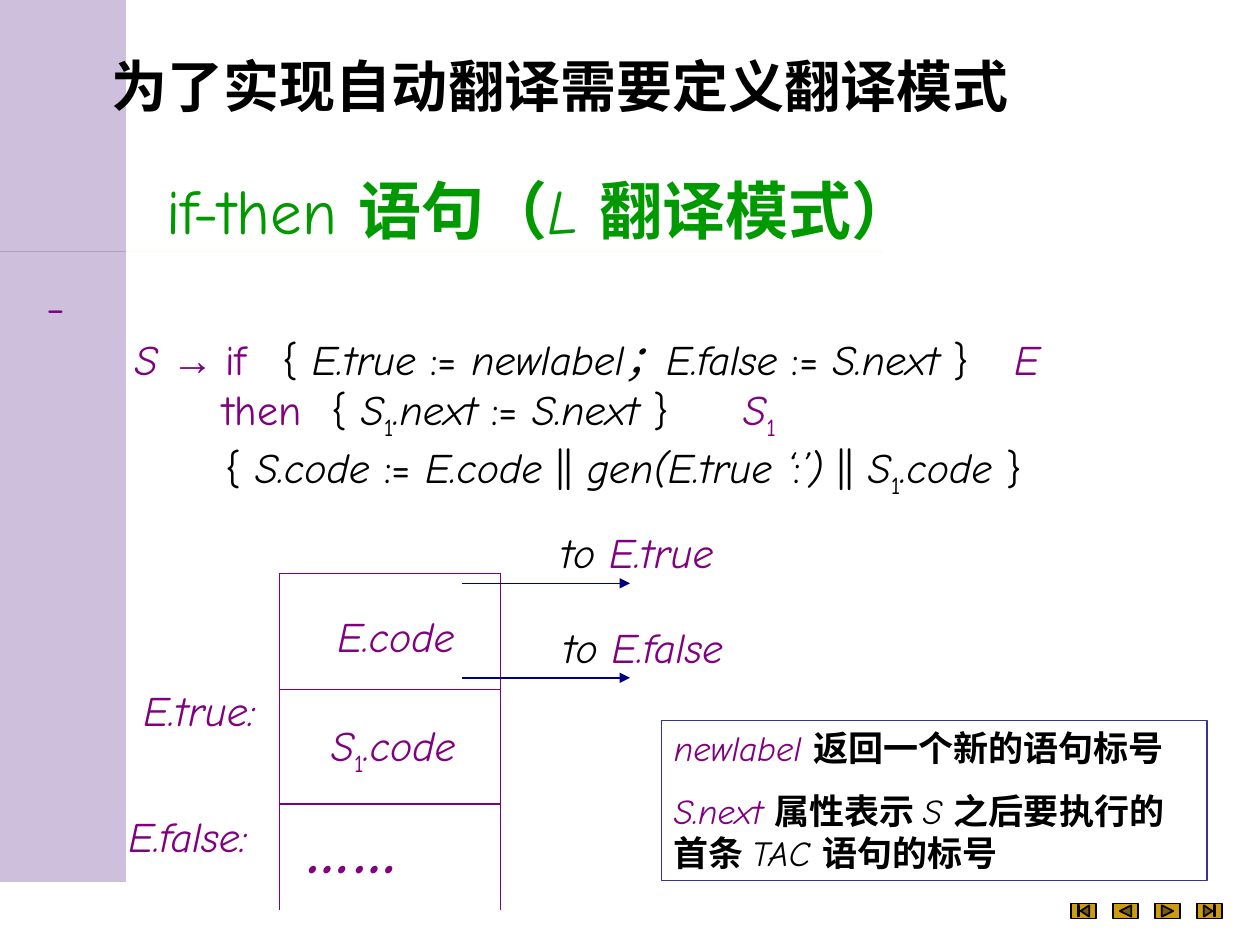
from dataclasses import dataclass
from typing import Any

from lxml.etree import SubElement
from pptx import Presentation
from pptx.dml.color import RGBColor
from pptx.enum.shapes import MSO_CONNECTOR, MSO_SHAPE
from pptx.enum.text import MSO_ANCHOR, PP_ALIGN
from pptx.oxml.ns import qn
from pptx.util import Inches, Pt

BLACK = RGBColor(0x00, 0x00, 0x00)
PURPLE = RGBColor(0x80, 0x00, 0x80)
GREEN = RGBColor(0x00, 0x99, 0x00)
NAVY = RGBColor(0x00, 0x00, 0x80)
INDIGO = RGBColor(0x33, 0x33, 0x99)
OLIVE = RGBColor(0xC6, 0xCB, 0x65)
LILAC = RGBColor(0x9F, 0x83, 0xBD)
GOLD = RGBColor(0xCC, 0x9B, 0x10)

BRUSH_STROKE = [
    (6.01, 1.95), (7.02, 1.96), (7.43, 1.98), (7.43, 2.02), (7.49, 2.06), (7.45, 2.08),
    (7.06, 2.1), (6.35, 2.1), (5.41, 2.09), (4.14, 2.09), (2.98, 2.1), (1.11, 2.11),
    (-0.02, 2.09), (-0.03, 1.95), (1.11, 1.95), (2.32, 1.94), (3.91, 1.94), (4.89, 1.94)]
SIDE_BAND = [
    (0.29, 5.61), (0.29, 4.81), (0.27, 3.75), (0.31, 3.17), (0.29, 2.1), (0.25, 1.27),
    (0.23, 0.65), (0.26, 0.24), (0.33, 0.19), (0.43, 0.23), (0.53, 0.19), (0.67, 0.18),
    (0.84, 0.27), (0.92, 0.41), (0.92, 0.71), (0.93, 1.29), (0.97, 1.95), (0.96, 2.86),
    (0.94, 3.91), (1, 4.95), (0.96, 5.83), (0.96, 6.9), (0.92, 7.06), (0.77, 7.11),
    (0.6, 7.04), (0.44, 7.09), (0.33, 7.16), (0.23, 7.08), (0.23, 6.76), (0.27, 6.29)]
BRACKET = [
    (0.49, 1.27), (0.48, 1.47), (0.43, 1.7), (0.47, 1.91), (0.49, 2.11), (0.52, 2.27),
    (0.48, 2.18), (0.44, 2.12), (0.4, 1.98), (0.35, 1.76), (0.39, 1.56), (0.43, 1.36)]


def smooth(points, steps=6):
    """Return a closed Catmull-Rom curve through the points."""
    curve = []
    for index, b in enumerate(points):
        a, c, d = (points[(index + shift) % len(points)] for shift in (-1, 1, 2))
        for step in range(steps):
            t = step / steps
            curve.append(tuple(
                q + t / 2 * (r - p + t * (2 * p - 5 * q + 4 * r - s + t * (3 * (q - r) + s - p)))
                for p, q, r, s in zip(a, b, c, d)))
    return curve


@dataclass
class SlideBuilder:
    page: Any
    latin_font: str = "Comic Neue"
    chinese_font: str = "Noto Sans CJK SC"
    line_width: float = 0.75

    def outline(self, points, color, opacity=100):
        builder = self.page.shapes.build_freeform(*points[0], scale=Inches(1))
        builder.add_line_segments(points[1:], close=True)
        shape = builder.convert_to_shape()
        shape.shadow.inherit = False
        shape.fill.solid()
        shape.fill.fore_color.rgb = color
        shape.line.fill.background()
        if opacity < 100:
            tint = shape._element.spPr.find(qn("a:solidFill")).find(qn("a:srgbClr"))
            SubElement(tint, qn("a:alpha"), val=str(opacity * 1000))

    def line(self, start, end, color, arrow=False):
        ends = [Inches(value) for value in (*start, *end)]
        connector = self.page.shapes.add_connector(MSO_CONNECTOR.STRAIGHT, *ends)
        connector.line.color.rgb = color
        connector.line.width = Pt(self.line_width)
        properties = connector._element.spPr
        if arrow:
            SubElement(properties.find(qn("a:ln")), qn("a:tailEnd"), type="triangle")
        SubElement(properties, qn("a:effectLst"))

    def button(self, kind, left, top, width, height):
        shape = self.page.shapes.add_shape(kind, *map(Inches, (left, top, width, height)))
        shape.shadow.inherit = False
        shape.fill.solid()
        shape.fill.fore_color.rgb = GOLD
        shape.line.color.rgb = BLACK
        shape.line.width = Pt(1)

    def text(self, place, paragraphs, size=24, **layout):
        box = self.page.shapes.add_textbox(*map(Inches, place))
        self.paragraphs(box.text_frame, paragraphs, size, **layout)

    def note(self, place, paragraphs, size, gap):
        box = self.page.shapes.add_shape(MSO_SHAPE.RECTANGLE, *map(Inches, place))
        box.shadow.inherit = False
        box.fill.background()
        box.line.color.rgb = INDIGO
        box.line.width = Pt(self.line_width)
        self.paragraphs(box.text_frame, paragraphs, size, gap=gap)

    def paragraphs(self, frame, paragraphs, size, wrap=True, spacing=1.2, gap=0, tabs=()):
        """Fill a frame; spacing is a multiple of size, tabs holds the stops of each line."""
        frame.word_wrap = wrap
        frame.vertical_anchor = MSO_ANCHOR.TOP
        for index, spans in enumerate(paragraphs):
            para = frame.add_paragraph() if index else frame.paragraphs[0]
            para.alignment = PP_ALIGN.LEFT
            para.line_spacing = Pt(size * spacing)
            if index:
                para.space_before = Pt(gap)
            if tabs:
                tab_list = SubElement(para._p.get_or_add_pPr(), qn("a:tabLst"))
                for stop in tabs[index]:
                    SubElement(tab_list, qn("a:tab"), pos=str(Inches(stop)), algn="l")
            for span in spans:
                self.span(para, size, *span)

    def span(self, para, size, words, color, style="", font=None):
        """Add one run; style letters: b bold, i italic, s subscript."""
        run = para.add_run()
        run.text = words
        run.font.size = Pt(size)
        run.font.color.rgb = color
        run.font.bold = "b" in style
        run.font.italic = "i" in style
        run.font.name = font or self.latin_font
        properties = run._r.get_or_add_rPr()
        SubElement(properties, qn("a:ea"), typeface=self.chinese_font)
        if "s" in style:
            properties.set("baseline", "-25000")


def draw_rules(builder):
    builder.text((0.27, 2.18, 0.5, 0.5), [[("−", PURPLE)]])
    builder.text((0.97, 2.54, 8.59, 1.5), [
        [("S ", PURPLE, "i"), ("→ ", PURPLE, "", "Arial"), ("if\t", PURPLE), ("{ ", BLACK),
         ("E.true ", BLACK, "i"), (":= ", BLACK), ("newlabel；E.false ", BLACK, "i"),
         (":=", BLACK), (" S.next", BLACK, "i"), (" }\t", BLACK), ("E", PURPLE, "i")],
        [("\tthen\t", PURPLE), ("{ ", BLACK), ("S", BLACK, "i"), ("1", BLACK, "s"),
         (".next ", BLACK, "i"), (":=", BLACK), (" S.next", BLACK, "i"), (" }\t", BLACK),
         ("S", PURPLE, "i"), ("1", PURPLE, "s")],
        [("\t{ ", BLACK), ("S.code ", BLACK, "i"), (":=", BLACK), (" E.code ", BLACK, "i"),
         ("||", BLACK), (" gen(E.true ‘", BLACK, "i"), (":", BLACK), ("’) ", BLACK, "i"),
         ("|| ", BLACK), ("S", BLACK, "i"), ("1", BLACK, "s"), (".code", BLACK, "i"),
         (" }", BLACK)],
    ], spacing=1.37, tabs=[(1.17, 6.98), (0.7, 1.56, 4.83), (0.72,)])


def draw_code_layout(builder):
    left, right, top, bottom = 2.22, 3.97, 4.55, 7.22
    for x in (left, right):
        builder.line((x, top), (x, bottom), PURPLE)
    for y in (top, 5.47, 6.38):
        builder.line((left, y), (right, y), PURPLE)
    builder.text((2.58, 4.8, 1.13, 0.5), [[("E.code", PURPLE, "i")]], wrap=False)
    builder.text((2.53, 5.72, 1.19, 0.56),
                 [[("S", PURPLE, "i"), ("1", PURPLE, "s"), (".code", PURPLE, "i")]], wrap=False)
    builder.text((2.34, 6.38, 0.96, 0.7), [[("……", PURPLE, "bi")]], size=36, wrap=False)
    for label, x, y, width in (("E.true:", 1.04, 5.38, 1.09), ("E.false:", 0.92, 6.38, 1.15)):
        builder.text((x, y, width, 0.5), [[(label, PURPLE, "i")]], wrap=False)
    for target, x, y, width in (("E.true", 4.35, 4.13, 1.42), ("E.false", 4.37, 4.88, 1.49)):
        builder.text((x, y, width, 0.5), [[("to ", BLACK, "i"), (target, PURPLE, "i")]],
                     wrap=False)
        builder.line((3.67, y + 0.5), (5, y + 0.5), NAVY, arrow=True)


def main():
    deck = Presentation()
    deck.slide_width, deck.slide_height = Inches(10), Inches(7.5)
    builder = SlideBuilder(deck.slides.add_slide(deck.slide_layouts[6]))
    builder.outline(smooth(BRUSH_STROKE), OLIVE)
    builder.outline(smooth(SIDE_BAND), LILAC, opacity=50)
    builder.outline(BRACKET, BLACK)

    builder.text((0.79, 0.36, 8.96, 0.64),
                 [[("为了实现自动翻译需要定义翻译模式", BLACK, "b", builder.chinese_font)]], size=32)
    builder.text((1.22, 1.31, 7.72, 0.7),
                 [[("if-then ", GREEN), ("语句（", GREEN, "b"), ("L ", GREEN, "i"),
                   ("翻译模式）", GREEN, "b")]], size=36)
    draw_rules(builder)
    draw_code_layout(builder)
    builder.note((5.25, 5.72, 4.33, 1.27), [
        [("newlabel ", PURPLE, "i"), ("返回一个新的语句标号", BLACK, "b")],
        [("S.next ", PURPLE, "i"), ("属性表示 ", BLACK, "b"), ("S ", BLACK, "i"),
         ("之后要执行的首条 ", BLACK, "b"), ("TAC ", BLACK, "i"), ("语句的标号", BLACK, "b")],
    ], size=20, gap=12)

    buttons = (MSO_SHAPE.ACTION_BUTTON_BEGINNING, MSO_SHAPE.ACTION_BUTTON_BACK_OR_PREVIOUS,
               MSO_SHAPE.ACTION_BUTTON_FORWARD_OR_NEXT, MSO_SHAPE.ACTION_BUTTON_END)
    for index, kind in enumerate(buttons):
        builder.button(kind, 8.5 + index / 3, 7.17, 0.2, 0.12)
    deck.save("out.pptx")


if __name__ == "__main__":
    main()
